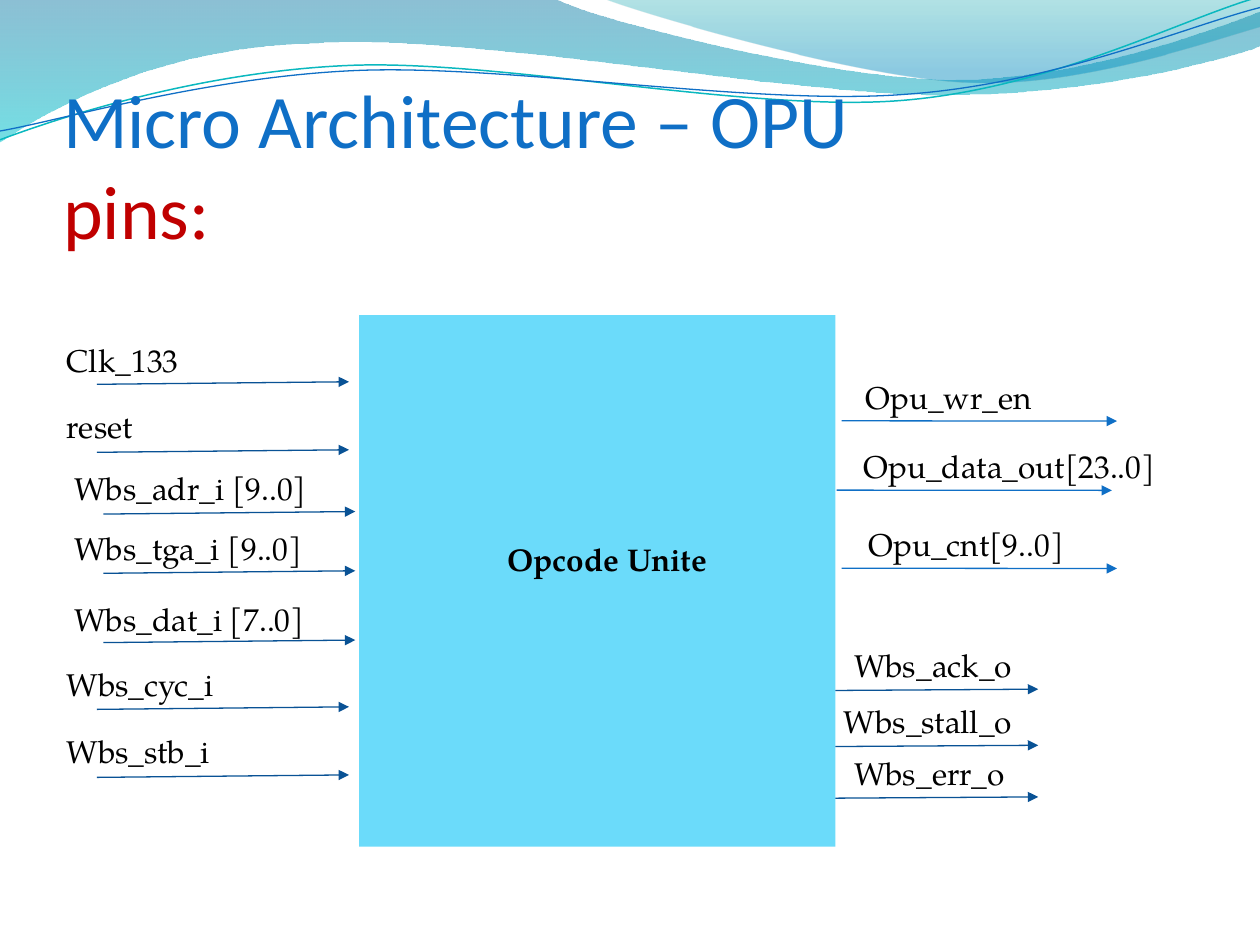
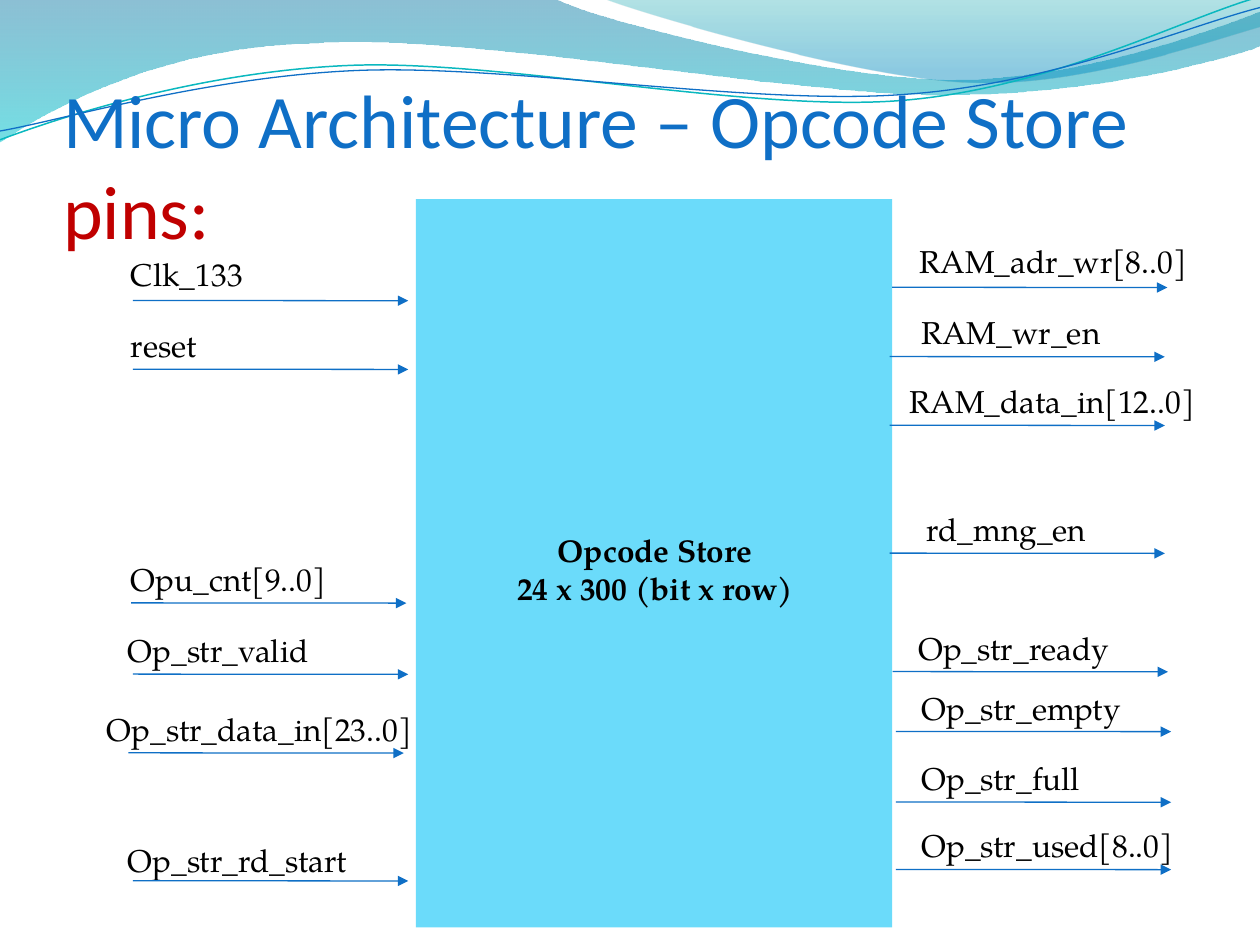
from pptx import Presentation
from pptx.dml.color import RGBColor
from pptx.enum.shapes import MSO_CONNECTOR as CONNECTOR, MSO_SHAPE as SHAPE
from pptx.enum.text import MSO_ANCHOR as ANCHOR, MSO_AUTO_SIZE as AUTO_SIZE, PP_ALIGN as ALIGN
from pptx.oxml.ns import qn
from pptx.util import Inches, Pt
from lxml.etree import SubElement

COLORS = {
    "blue": "0F6FC6", "navy": "095295", "red": "C00000", "black": "000000",
    "block": "6BDBFA", "teal": "0AB8BF", "band_top": "0074A1",
    "band_bottom": "00C6CF", "wedge_top": "00A1A9", "wedge_bottom": "008BBF",
}
TITLE_FONT, BODY_FONT = "Calibri", "TeX Gyre Pagella"
TITLE_SIZE, BODY_SIZE = 43.2, 18
COLUMNS = 100
LABEL_HEIGHT = 4.1

# Outlines in grid cells: a pair is a corner, six numbers are a Bézier curve.
BAND = [(0, 0), (44, -0.1), (47.6, 1.7, 66.4, 6.3, 75.8, 6.3),
        (85.3, 6.3, 95.8, 2.6, 100, 0.9), (100.1, 3.6),
        (98.3, 4.4, 87, 7.6, 74.6, 7.5), (62.2, 7.5, 38.2, 2.8, 25.7, 3.4),
        (12.9, 3.6, 4.6, 8.3, -0.1, 11.3), (0, 0)]
WEDGE = [(47.9, -0.1), (50.9, 1.1, 68.2, 6.2, 76.9, 6.5),
         (85.6, 6.9, 96.1, 3.2, 100, 2.1), (100, 0), (47.9, -0.1)]
TEAL_WAVE = [(0, 11.1), (4.8, 9.3, 15.8, 5.7, 27.7, 5.2),
             (39.5, 4.7, 59.3, 8.9, 71.3, 8), (83.3, 7.1, 93.8, 1.5, 99.8, -0.2)]
BLUE_WAVE = [(0, 10.4), (4.7, 9.6, 16.4, 6.1, 28.3, 5.6),
             (40.3, 5.1, 59.7, 8.4, 71.7, 7.5), (83.6, 6.7, 94.1, 2.1, 100, 0.6)]

# Pins: label, label left, label top, arrow left, arrow top.
OPU_INPUTS = [
    ("Clk_133", 4.3, 26.6, 7.7, 30.5),
    ("reset", 4.3, 31.8, 7.7, 35.9),
    ("Wbs_adr_i [9..0]", 4.9, 36.7, 8.2, 40.8),
    ("Wbs_tga_i [9..0]", 4.9, 41.5, 8.2, 45.5),
    ("Wbs_dat_i [7..0]", 4.9, 47.1, 8.2, 51),
    ("Wbs_cyc_i", 4.3, 52.3, 7.7, 56.3),
    ("Wbs_stb_i", 4.3, 57.6, 7.7, 61.7),
]
OPU_OUTPUTS = [
    ("Opu_wr_en", 67.7, 29.5, 66.8, 33.4),
    ("Opu_data_out[23..0]", 67.55, 35, 66.4, 38.9),
    ("Opu_cnt[9..0]", 67.95, 41.2, 66.8, 45.1),
]
OPU_BUS_REPLIES = [
    ("Wbs_ack_o", 66.8, 50.8, 66.3, 54.8),
    ("Wbs_stall_o", 66, 55.25, 66.3, 59.25),
    ("Wbs_err_o", 66.8, 59.35, 66.3, 63.35),
]
STORE_INPUTS = [
    ("Clk_133", 9.4, 19.75, 10.55, 23.85),
    ("reset", 9.4, 25.4, 10.55, 29.3),
    ("Opu_cnt[9..0]", 9.4, 43.95, 10.4, 47.85),
    ("Op_str_valid", 9.15, 49.6, 10.55, 53.5),
    ("Op_str_data_in[23..0]", 7.5, 55.85, 10.2, 59.75),
    ("Op_str_rd_start", 9.15, 66.25, 10.55, 69.9),
]
STORE_OUTPUTS = [
    ("RAM_adr_wr[8..0]", 72, 18.7, 70.8, 22.8),
    ("RAM_wr_en", 72.15, 24.35, 70.6, 28.3),
    ("RAM_data_in[12..0]", 71.2, 29.85, 70.6, 33.75),
    ("rd_mng_en", 72.55, 40, 70.6, 43.9),
    ("Op_str_ready", 71.9, 49.4, 70.85, 53.3),
    ("Op_str_empty", 72.15, 54.2, 71.1, 58.05),
    ("Op_str_full", 72.15, 59.75, 71.1, 63.65),
    ("Op_str_used[8..0]", 72.15, 65.1, 71.1, 69),
]


def color(name):
    return RGBColor.from_string(COLORS[name])


def bend(shape, parts):
    """Turn each run of three straight steps that stands for a curve into one."""
    steps = iter(list(shape.element.iter(qn("a:lnTo"))))
    for part in parts[1:]:
        group = [next(steps) for _ in range(len(part) // 2)]
        if len(group) == 3:
            curve = group[0].makeelement(qn("a:cubicBezTo"))
            group[0].addprevious(curve)
            for step in group:
                curve.append(step[0])
                step.getparent().remove(step)


class PinDeck:
    """Holds the style and the current slide; lengths are grid cells."""

    def __init__(self):
        self.deck = Presentation()
        self.deck.slide_width, self.deck.slide_height = Inches(10), Inches(7.5)
        self.cell = self.deck.slide_width / COLUMNS
        self.layout = self.deck.slide_layouts[5]
        self.slide = None

    def emu(self, *cells):
        return [round(value * self.cell) for value in cells]

    def add_slide(self):
        self.slide = self.deck.slides.add_slide(self.layout)

    def outline(self, parts, closed):
        points = [self.emu(*part[i:i + 2]) for part in parts for i in range(0, len(part), 2)]
        builder = self.slide.shapes.build_freeform(*points[0])
        builder.add_line_segments(points[1:], close=closed)
        shape = builder.convert_to_shape()
        bend(shape, parts)
        shape.shadow.inherit = False
        return shape

    def gradient_area(self, parts, stops):
        """Stops are (position, colour, opacity in percent), from top to bottom."""
        area = self.outline(parts, True)
        area.line.fill.background()
        area.fill.gradient()
        area.fill.gradient_angle = 270
        for stop, (position, name, _) in zip(area.fill.gradient_stops, stops):
            stop.position = position
            stop.color.rgb = color(name)
        for element, (_, _, opacity) in zip(area.element.iter(qn("a:srgbClr")), stops):
            SubElement(element, qn("a:alpha"), val=str(opacity * 1000))
        return area

    def wave(self, parts, name, width):
        wave = self.outline(parts, False)
        wave.fill.background()
        wave.line.color.rgb = color(name)
        wave.line.width = Pt(width)
        return wave

    def decorate_master(self):
        """Draw the top band on the current slide, then move it to the master."""
        master_tree = self.layout.slide_master.shapes.element
        for shape in (
            self.gradient_area(BAND, [(0, "band_top", 45), (1, "band_bottom", 55)]),
            self.gradient_area(WEDGE, [(0, "wedge_top", 30), (0.8, "wedge_bottom", 45)]),
            self.wave(TEAL_WAVE, "teal", 0.85),
            self.wave(BLUE_WAVE, "blue", 0.75),
        ):
            master_tree.append(shape.element)

    def style(self, span, font, size, name, bold=False):
        span.font.name, span.font.size, span.font.bold = font, Pt(size), bold
        span.font.color.rgb = color(name)

    def title(self, subject):
        box = self.slide.shapes.title
        box.left, box.top, box.width, box.height = self.emu(5, 7.7, 90, 12.5)
        frame = box.text_frame
        frame.auto_size = AUTO_SIZE.NONE
        frame.vertical_anchor = ANCHOR.BOTTOM
        frame.margin_left = frame.margin_right = frame.margin_bottom = 0
        frame.margin_top = Inches(0.05)
        frame.text = f"Micro Architecture – {subject}\vpins:"
        para = frame.paragraphs[0]
        para.alignment = ALIGN.LEFT
        for span, name in zip(para.runs, ("blue", "red")):
            self.style(span, TITLE_FONT, TITLE_SIZE, name)

    def text(self, words, left, top, width, height=LABEL_HEIGHT, align=ALIGN.LEFT, bold=False):
        box = self.slide.shapes.add_textbox(*self.emu(left, top, width, height))
        frame = box.text_frame
        frame.word_wrap = True
        frame.text = words
        for para in frame.paragraphs:
            para.alignment = align
            for span in para.runs:
                self.style(span, BODY_FONT, BODY_SIZE, "black", bold)

    def block(self, left, top, width, height):
        block = self.slide.shapes.add_shape(
            SHAPE.RECTANGLE, *self.emu(left, top, width, height))
        block.shadow.inherit = False
        block.fill.solid()
        block.fill.fore_color.rgb = color("block")
        block.line.fill.background()

    def arrow(self, left, top, length, rise, name):
        arrow = self.slide.shapes.add_connector(
            CONNECTOR.STRAIGHT, *self.emu(left, top, left + length, top - rise))
        arrow.line.color.rgb = color(name)
        arrow.line.width = Pt(0.75)
        line = arrow.element.spPr.find(qn("a:ln"))
        SubElement(line, qn("a:tailEnd"), type="triangle")
        SubElement(arrow.element.spPr, qn("a:effectLst"))

    def pins(self, pins, label_width, length=21.85, rise=-0.02, name="blue"):
        for label, label_left, label_top, arrow_left, arrow_top in pins:
            self.text(label, label_left, label_top, label_width)
            self.arrow(arrow_left, arrow_top, length, rise, name)


def main():
    pages = PinDeck()

    pages.add_slide()
    pages.decorate_master()
    pages.title("OPU")
    pages.block(28.5, 25, 37.8, 42.2)
    pages.text("Opcode Unite", 34.85, 42.4, 26.7, align=ALIGN.CENTER, bold=True)
    pages.pins(OPU_INPUTS, 22, length=20, rise=0.2, name="navy")
    pages.pins(OPU_OUTPUTS, 32)
    pages.pins(OPU_BUS_REPLIES, 18, length=16.1, rise=0.1, name="navy")

    pages.add_slide()
    pages.title("Opcode Store")
    pages.block(33, 15.8, 37.8, 57.8)
    pages.text("Opcode Store\n24 x 300 (bit x row)", 39.15, 41.65, 25.7, 7.1,
               align=ALIGN.CENTER, bold=True)
    pages.pins(STORE_INPUTS, 32)
    pages.pins(STORE_OUTPUTS, 25)

    pages.deck.save("out.pptx")


if __name__ == "__main__":
    main()
